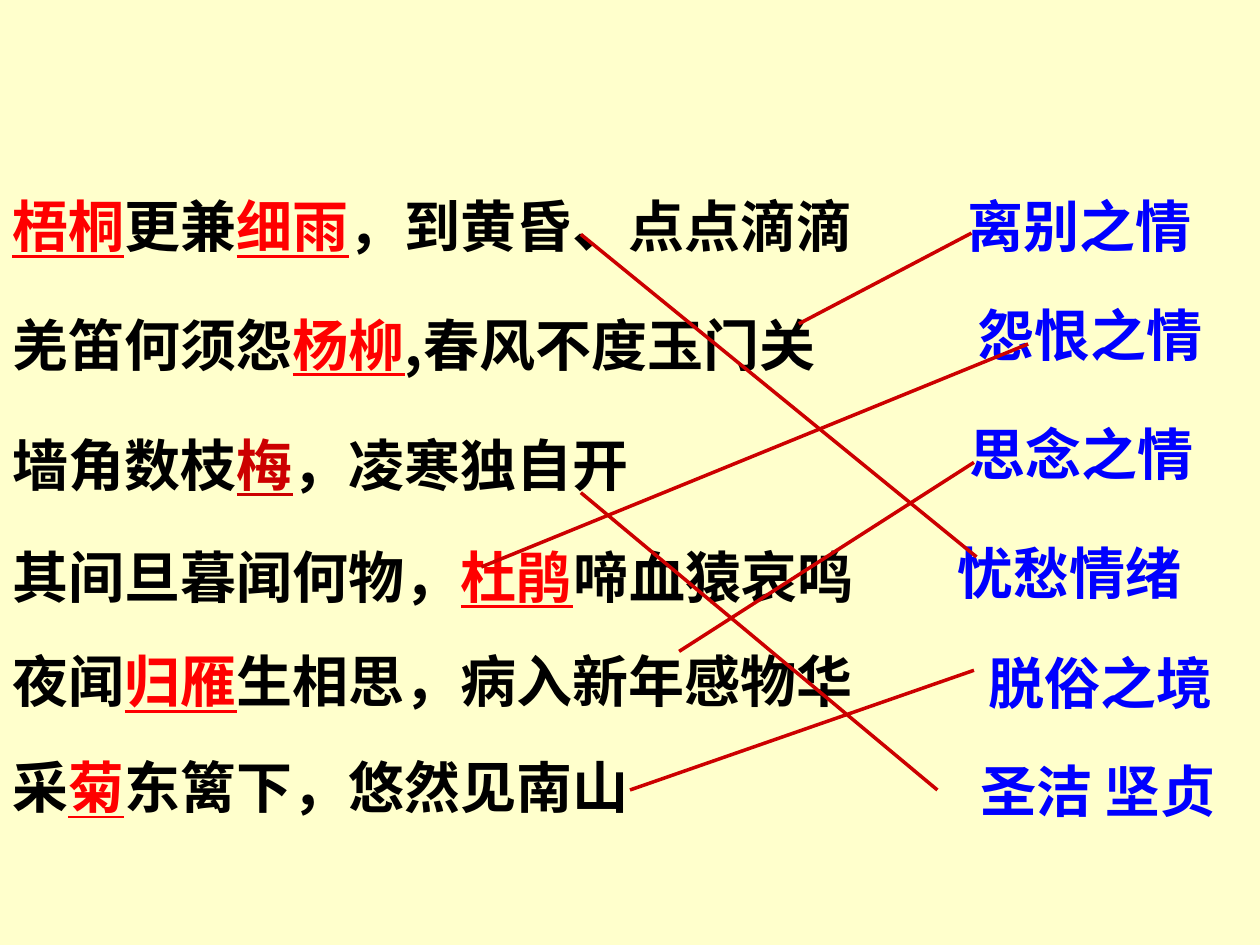
from lxml import etree
from pptx import Presentation
from pptx import util as u
from pptx.dml.color import RGBColor
from pptx.enum import shapes, text
from pptx.oxml.ns import qn

SANS, ARIAL, SERIF = "Noto Sans CJK SC", "Arial", "Times New Roman"
THEME = {
    "background": "FFFFCC", "verse": "000000", "image": "FF0000",
    "plum": "CC0000", "feeling": "0000FF", "link": "CC0000",
    "east_asian": SANS, "size": 32, "line": 2, "row_height": 0.64,
}

VERSES = [
    (1.47, 8.86, ARIAL, [("梧桐", "image"), ("更兼", "verse"), ("细雨", "image"),
                         ("，到黄昏、点点滴滴", "verse")]),
    (2.41, 7.44, SANS, [("羌笛何须怨", "verse"), ("杨柳", "image"),
                        (",春风不度玉门关", "verse")]),
    (3.36, 6.18, SANS, [("墙角数枝", "verse"), ("梅", "plum"),
                        ("，凌寒独自开", "verse")]),
    (4.25, 7.05, SANS, [("其间旦暮闻何物，", "verse"), ("杜鹃", "image"),
                        ("啼血猿哀鸣", "verse")]),
    (5.08, 7.13, SERIF, [("夜闻", "verse"), ("归雁", "image"),
                         ("生相思，病入新年感物华", "verse")]),
    (5.92, 5.55, SERIF, [("采", "verse"), ("菊", "image"),
                         ("东篱下，悠然见南山", "verse")]),
]
FEELINGS = [
    (7.58, 1.47, 2.42, SANS, "离别之情"),
    (7.67, 2.33, 2.33, SANS, "怨恨之情"),
    (7.6, 3.28, 2, SERIF, "思念之情"),
    (7.5, 4.22, 2.5, SERIF, "忧愁情绪"),
    (7.75, 5.09, 2.25, SERIF, "脱俗之境"),
    (7.68, 5.95, 2.85, SANS, "圣洁 坚贞"),
]
LINKS = [
    ((4.61, 1.86), (7.75, 4.42)),
    ((6.34, 2.57), (7.71, 1.85)),
    ((4.61, 3.91), (7.44, 6.27)),
    ((3.82, 4.5), (8.16, 2.73)),
    ((5.39, 5.17), (7.73, 3.67)),
    ((5, 6.27), (7.73, 5.32)),
]


def color(role):
    return RGBColor.from_string(THEME[role])


def add_phrase(slide, left, top, width, face, parts):
    phrase = slide.shapes.add_textbox(
        *map(u.Inches, (left, top, width, THEME["row_height"])))
    frame_format = {"word_wrap": True, "auto_size": text.MSO_AUTO_SIZE.NONE,
                    "vertical_anchor": text.MSO_ANCHOR.MIDDLE}
    for name, value in frame_format.items():
        setattr(phrase.text_frame, name, value)
    for words, role in parts:
        run = phrase.text_frame.paragraphs[0].add_run()
        run.text = words
        font_format = {"name": face, "size": u.Pt(THEME["size"]), "bold": True,
                       "underline": role in ("image", "plum")}
        for name, value in font_format.items():
            setattr(run.font, name, value)
        run.font.color.rgb = color(role)
        east_asian = etree.Element(qn("a:ea"), typeface=THEME["east_asian"])
        run.font._element.find(qn("a:latin")).addnext(east_asian)


def add_link(slide, start, end):
    link = slide.shapes.add_connector(
        shapes.MSO_CONNECTOR.STRAIGHT, *map(u.Inches, start + end))
    link.line.color.rgb = color("link")
    link.line.width = u.Pt(THEME["line"])
    etree.SubElement(link._element.spPr, qn("a:effectLst"))


def main():
    deck = Presentation()
    deck.slide_width, deck.slide_height = u.Inches(10), u.Inches(7.5)
    slide = deck.slides.add_slide(deck.slide_layouts[6])
    slide.background.fill.solid()
    slide.background.fill.fore_color.rgb = color("background")
    for top, width, face, parts in VERSES:
        add_phrase(slide, 0, top, width, face, parts)
    for left, top, width, face, words in FEELINGS:
        add_phrase(slide, left, top, width, face, [(words, "feeling")])
    for start, end in LINKS:
        add_link(slide, start, end)
    deck.save("out.pptx")


if __name__ == "__main__":
    main()
